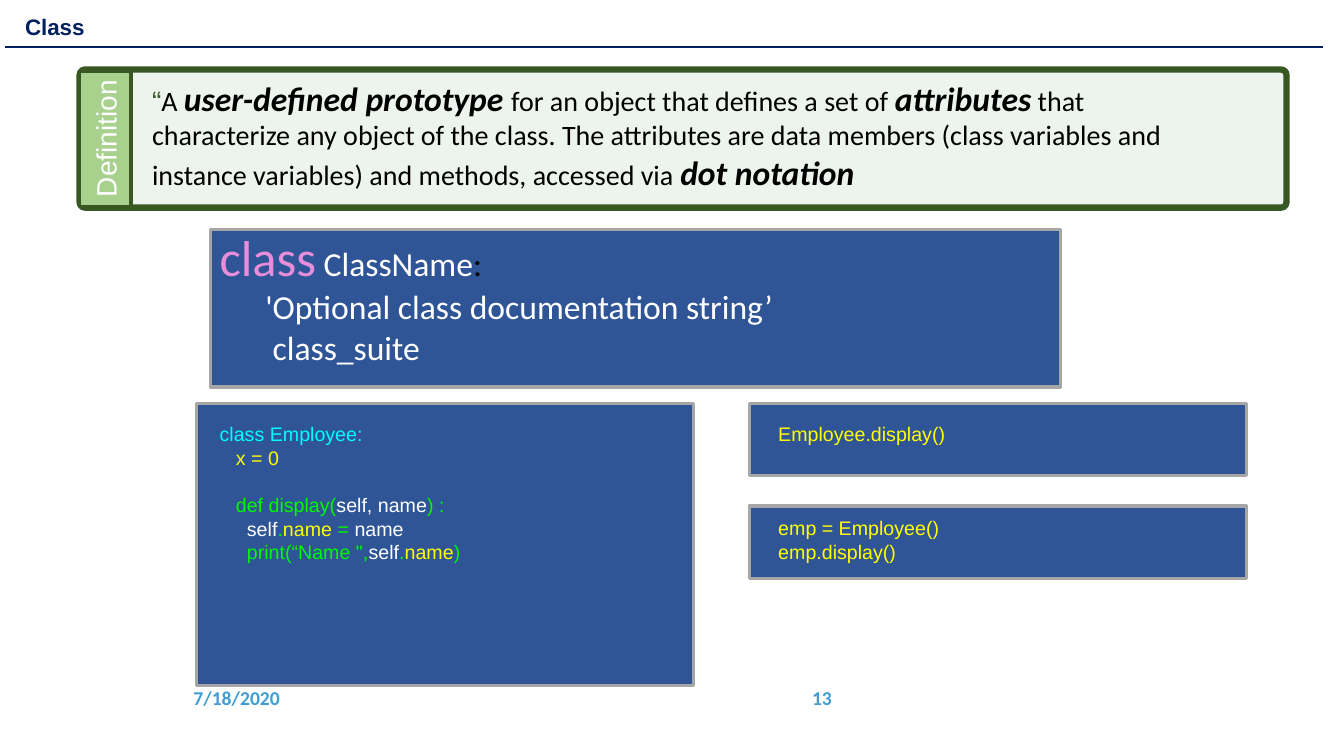
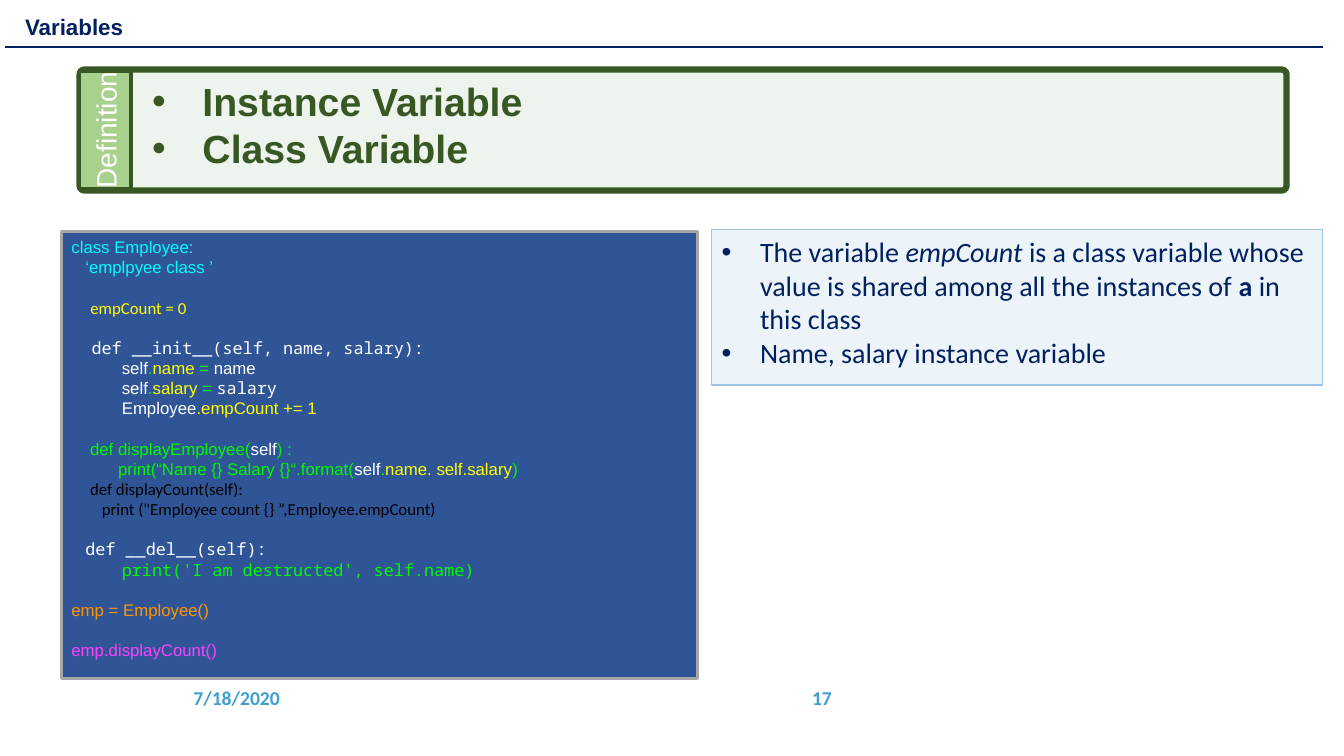
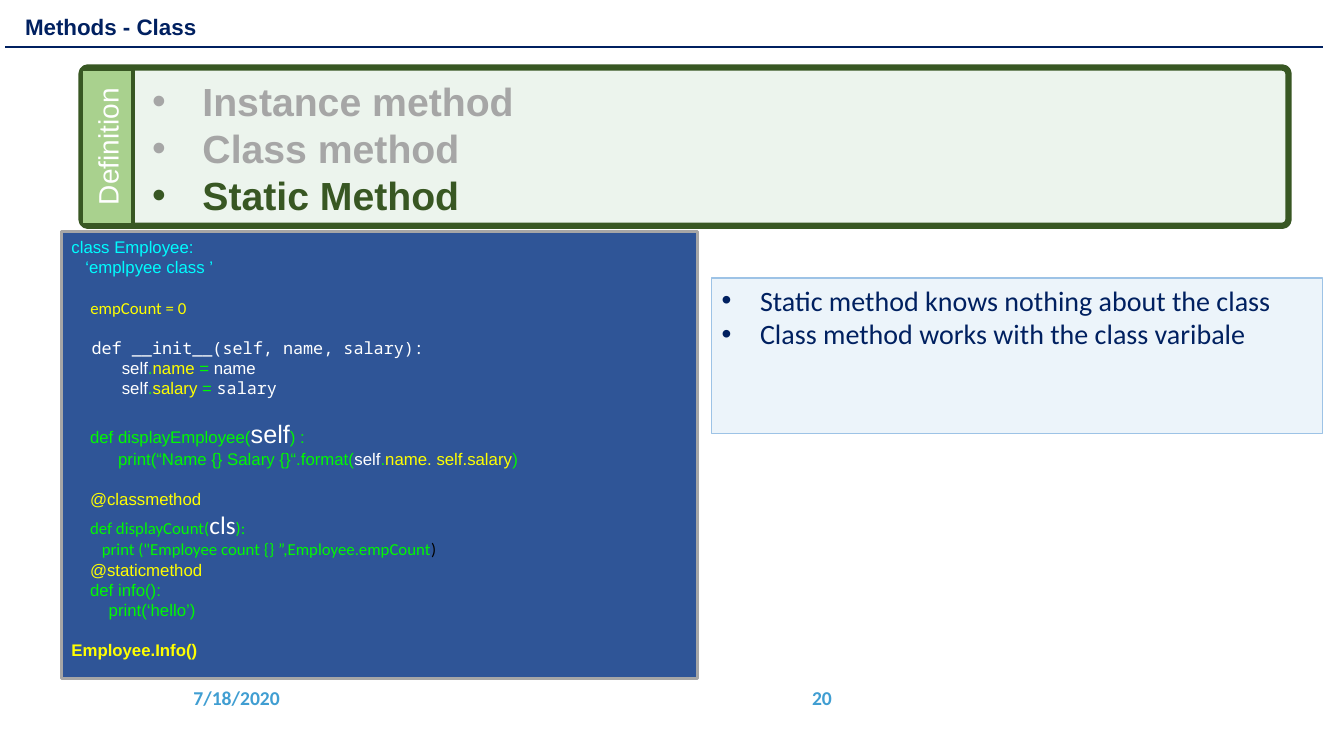
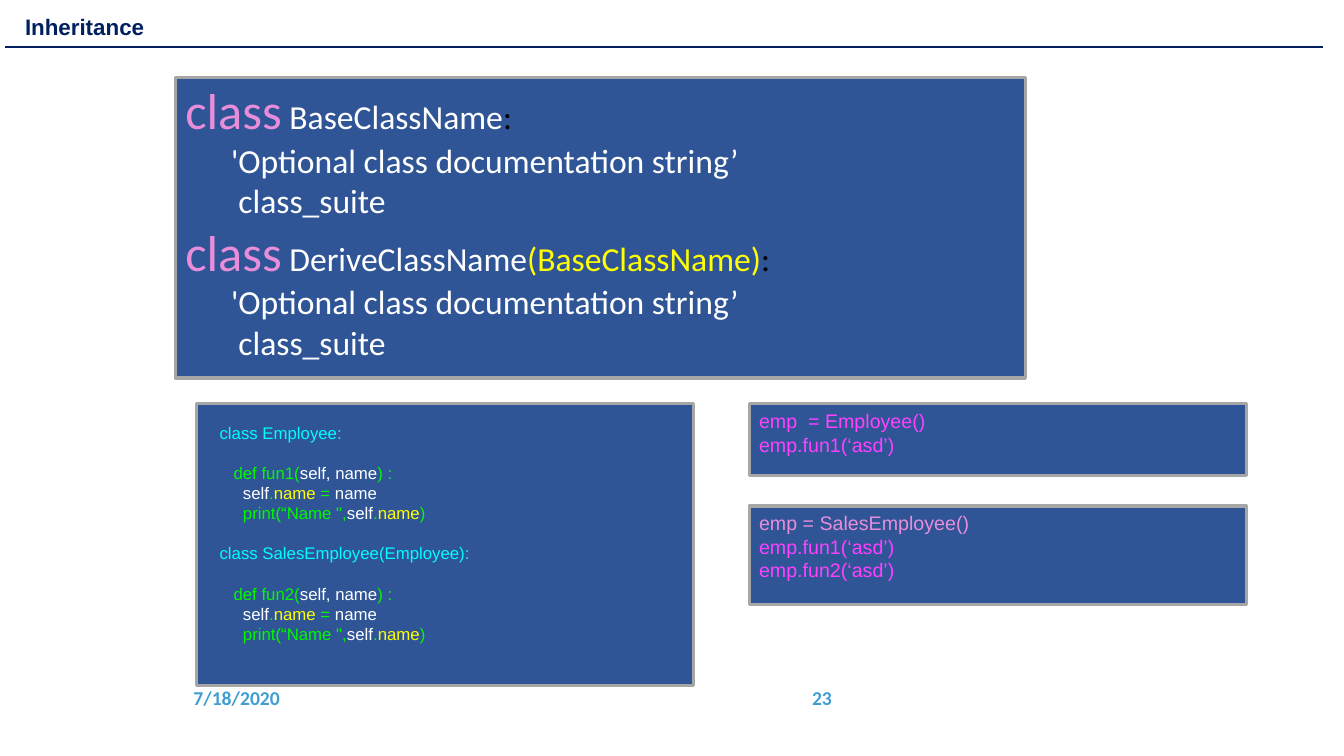
from collections import namedtuple

from lxml import etree
from pptx import Presentation
from pptx import util as u
from pptx.dml.color import RGBColor
from pptx.enum import shapes, text
from pptx.oxml.ns import qn

NAVY, GREEN, LIGHT_GREEN, PALE_GREEN = "002060", "385723", "A9D18E", "AACEB0"
PANEL, GREY, FOOTER = "2F5597", "A6A6A6", "409ED2"
NOTE, NOTE_EDGE = "ECF4FA", "9DC3E6"
WHITE, BLACK, YELLOW, LIME = "FFFFFF", "000000", "FFFF00", "00F900"
CYAN, PINK, MAGENTA, ORANGE = "00FDFF", "E78DDA", "FF40FF", "FF9300"
SANS, BODY, MONO = "Arial", "Calibri", "Noto Sans Mono"

# A run without font, size or colour takes the one of its text block.
Run = namedtuple("Run", "text colour font size bold italic",
                 defaults=(None, None, None, False, False))
# indent is in ems of the block's size, gap in lines left free above.
Line = namedtuple("Line", "runs indent gap", defaults=(0, 0))
Block = namedtuple("Block", "panel area lines size font", defaults=(12, SANS))


def line(wording, colour, indent=0, gap=0, font=None, bold=False):
    return Line([Run(wording, colour, font, bold=bold)], indent, gap)


def assignment(name, indent, value_font=None):
    return Line([Run("self", WHITE), Run(".", LIME), Run(name, YELLOW),
                 Run(" = ", LIME), Run(name, WHITE, value_font)], indent)


def naming_method(name):
    """Lines of a method that stores a name and prints it."""
    return [
        Line([Run(f"def {name}(", LIME), Run("self, name", WHITE), Run(") :", LIME)], 0.83, 1),
        assignment("name", 1.39),
        Line([Run("print(“Name \",", LIME), Run("self", WHITE), Run(".", LIME),
              Run("name", YELLOW), Run(")", LIME)], 1.39),
    ]


def class_syntax(name, base=""):
    heading = [Run("class", PINK, size=36), Run(" "), Run(name, WHITE)]
    if base:
        heading.append(Run(f"({base})", YELLOW))
    return [Line(heading + [Run(":", BLACK)]),
            line("'Optional class documentation string’", WHITE, 1.36),
            line("class_suite", WHITE, 1.58)]


def display_employee(self_size=None):
    return [
        Line([Run("def displayEmployee(", LIME), Run("self", WHITE, size=self_size),
              Run(") :", LIME)], 1.11, 1),
        Line([Run("print(“Name {} Salary {}“.format(", LIME), Run("self", WHITE),
              Run(".", LIME), Run("name. self.salary", YELLOW), Run(")", LIME)], 2.78),
    ]


EMPLOYEE_START = [
    line("class Employee:", CYAN),
    line("‘emplpyee class ’", CYAN, 0.83),
    line("empCount = 0", YELLOW, 1.13, 1, BODY),
    line("def __init__(self, name, salary):", WHITE, 1.2, 1, MONO),
    assignment("name", 3),
    assignment("salary", 3, MONO),
]
VARIABLES_CODE = EMPLOYEE_START + [
    Line([Run("Employee", WHITE), Run(".empCount += 1", YELLOW)], 3),
    *display_employee(),
    line("def displayCount(self):", BLACK, 1.11, font=BODY),
    line("print (\"Employee count {} ”,Employee.empCount)", BLACK, 1.81, font=BODY),
    line("def __del__(self):", WHITE, 0.83, 1, MONO),
    line("print('I am destructed', self.name)", "00FA00", 3, font=MONO),
    line("emp = Employee()", ORANGE, gap=1),
    line("emp.displayCount()", MAGENTA, gap=1),
]
METHODS_CODE = EMPLOYEE_START + [
    *display_employee(18),
    line("@classmethod", YELLOW, 1.11, 1),
    Line([Run("def displayCount(", LIME, BODY), Run("cls", WHITE, BODY, 18),
          Run("):", LIME, BODY)], 1.11),
    Line([Run("print (\"Employee count {} ”,Employee.empCount", LIME, BODY),
          Run(")", BLACK, BODY)], 1.81),
    line("@staticmethod", YELLOW, 1.11),
    line("def info():", LIME, 1.11),
    line("print(‘hello’)", LIME, 2.22),
    line("Employee.Info()", YELLOW, gap=1, bold=True),
]


def emphasis(wording):
    return Run(wording, size=24, bold=True, italic=True)


CLASS_DEFINITION = [Line([
    Run("“", GREEN, SANS), Run("A "), emphasis("user-defined prototype "),
    Run("for an object that defines a set of "), emphasis("attributes"),
    Run(" that characterize any object of the class. The attributes are data members "
        "(class variables and instance variables) and methods, accessed via "),
    emphasis("dot notation"),
])]

LARGE_CODE, LARGE_TEXT = (0.61, 2.3, 6.31, 4.43), (0.61, 2.3, 6.31, 4.34)
LEFT_CODE = (1.95, 4, 4.93, 2.8)
UPPER_CALL, LOWER_CALL = (7.43, 4, 4.93, 0.72), (7.43, 5.02, 4.93, 0.72)

# definition: frame left, top, height; text height; lines; bulleted
SLIDES = [
    dict(title="Class", number=13,
         definition=((0.79, 0.69, 1.37), 1.25, CLASS_DEFINITION, False),
         blocks=[
             Block((2.09, 2.28, 8.43, 1.56), (2.08, 2.19, 8.86, 1.51),
                   class_syntax("ClassName"), 24, BODY),
             Block(LEFT_CODE, (2.08, 4.14, 4.58, 1.99),
                   [line("class Employee:", CYAN), line("x = 0", "FFFB00", 0.83),
                    *naming_method("display")], 14),
             Block(UPPER_CALL, (7.62, 4.14, 4.58, 0.34),
                   [line("Employee.display()", YELLOW)], 14),
             Block(LOWER_CALL, (7.62, 5.07, 4.58, 0.57),
                   [line("emp = Employee()", YELLOW), line("emp.display()", YELLOW)], 14),
         ]),
    dict(title="Variables", number=17,
         definition=((0.79, 0.69, 1.2), 1.04,
                     [line("Instance Variable", GREEN, bold=True),
                      line("Class Variable", GREEN, bold=True)], True),
         blocks=[Block(LARGE_CODE, LARGE_TEXT, VARIABLES_CODE)],
         notes=(2.28, [
             Line([Run("The variable "), Run("empCount ", italic=True),
                   Run("is a class variable whose value is shared among all the instances of "),
                   Run("a ", bold=True), Run("in this class")]),
             line("Name, salary instance variable", NAVY)])),
    dict(title="Methods - Class", number=20,
         definition=((0.81, 0.67, 1.57), 1.51,
                     [line("Instance method", GREY, bold=True),
                      line("Class method", GREY, bold=True),
                      line("Static Method", GREEN, bold=True)], True),
         blocks=[Block(LARGE_CODE, LARGE_TEXT, METHODS_CODE)],
         notes=(2.76, [line("Static method knows nothing about the class", NAVY),
                       line("Class method works with the class varibale", NAVY)])),
    dict(title="Inheritance", number=23,
         blocks=[
             Block((1.74, 0.77, 8.43, 2.98), (1.74, 0.74, 7.61, 3.74),
                   class_syntax("BaseClassName")
                   + class_syntax("DeriveClassName", "BaseClassName"), 24, BODY),
             Block(LEFT_CODE, (2.08, 4.14, 4.58, 2.93),
                   [line("class Employee:", CYAN), *naming_method("fun1"),
                    line("class SalesEmployee(Employee):", CYAN, gap=1),
                    *naming_method("fun2")]),
             Block(UPPER_CALL, (7.43, 4.01, 4.58, 0.57),
                   [line("emp  = Employee()", MAGENTA), line("emp.fun1(‘asd’)", MAGENTA)], 14),
             Block((*LOWER_CALL[:3], 0.98), (7.43, 5.02, 4.58, 1.04),
                   [line("emp = SalesEmployee()", PINK), line("emp.fun1(‘asd’)", MAGENTA),
                    line("emp.fun2(‘asd’)", MAGENTA)], 14),
         ]),
]


def rgb(colour):
    return RGBColor.from_string(colour)


def inches(area):
    return [u.Inches(length) for length in area]


def add_box(parent, area, fill, edge=None, width=0, kind=shapes.MSO_SHAPE.RECTANGLE):
    box = parent.shapes.add_shape(kind, *inches(area))
    box.shadow.inherit = False
    box.fill.solid()
    box.fill.fore_color.rgb = rgb(fill)
    if edge:
        box.line.color.rgb = rgb(edge)
        box.line.width = u.Pt(width)
    else:
        box.line.fill.background()
    return box


def add_bullet(paragraph, hang):
    properties = paragraph._p.get_or_add_pPr()
    properties.set("marL", str(u.Inches(hang)))
    properties.set("indent", str(u.Inches(-hang)))
    etree.SubElement(properties, qn("a:buFont")).set("typeface", SANS)
    etree.SubElement(properties, qn("a:buChar")).set("char", "•")


def write(frame, lines, size, font, colour=BLACK, hang=0,
          align=text.PP_ALIGN.LEFT, anchor=text.MSO_ANCHOR.TOP):
    """Fill a text frame; a hang in inches makes its lines bullets."""
    frame.word_wrap = True
    frame.vertical_anchor = anchor
    for index, item in enumerate(lines):
        paragraph = frame.add_paragraph() if index else frame.paragraphs[0]
        paragraph.alignment = align
        if item.gap:
            paragraph.space_before = u.Pt(1.2 * size * item.gap)
        if item.indent:
            paragraph._p.get_or_add_pPr().set("marL", str(u.Pt(item.indent * size)))
        if hang:
            add_bullet(paragraph, hang)
        for part in item.runs:
            run = paragraph.add_run()
            run.text = part.text
            run.font.name = part.font or font
            run.font.size = u.Pt(part.size or size)
            run.font.color.rgb = rgb(part.colour or colour)
            run.font.bold = part.bold
            run.font.italic = part.italic


def add_text(slide, area, *content, grow=True, **style):
    frame = slide.shapes.add_textbox(*inches(area)).text_frame
    write(frame, *content, **style)
    if grow:
        frame.auto_size = text.MSO_AUTO_SIZE.SHAPE_TO_FIT_TEXT


def add_title_and_footer(slide, title, number):
    for area, wording, align in (
            ((1.82, 6.72, 1.38, 0.4), "7/18/2020", text.PP_ALIGN.LEFT),
            ((5.32, 6.72, 3.03, 0.4), str(number), text.PP_ALIGN.RIGHT)):
        add_text(slide, area, [line(wording, FOOTER, bold=True)], 14, BODY, grow=False,
                 align=align, anchor=text.MSO_ANCHOR.MIDDLE)

    heading = add_box(slide, (0.15, 0.1, 9.04, 0.35), WHITE).text_frame
    write(heading, [line(title, NAVY, bold=True)], 16, SANS, anchor=text.MSO_ANCHOR.BOTTOM)
    heading.paragraphs[0].line_spacing = 0.9

    rule = slide.shapes.add_connector(shapes.MSO_CONNECTOR.STRAIGHT,
                                      *inches((0.05, 0.47, 13.12, 0.47)))
    rule.line.color.rgb = rgb(NAVY)
    rule.line.width = u.Pt(1.5)
    etree.SubElement(rule._element.spPr, qn("a:effectLst"))


def add_definition(slide, place, text_height, lines, bulleted):
    left, top, height = place
    group = slide.shapes.add_group_shape()
    frame = add_box(group, (left, top, 11.97, height), PALE_GREEN, GREEN, 4.5,
                    shapes.MSO_SHAPE.ROUNDED_RECTANGLE)
    frame.adjustments[0] = 0.039
    tint = frame._element.spPr.find(qn("a:solidFill"))[0]
    etree.SubElement(tint, qn("a:alpha")).set("val", "22000")

    # The tab is laid out flat, then turned about its centre.
    length, depth = height - 0.03, 0.51
    tab = add_box(group, (left + (depth - length) / 2, top + (height - depth) / 2,
                          length, depth), LIGHT_GREEN, GREEN, 2.25)
    tab.rotation = 270
    write(tab.text_frame, [line("Definition", WHITE)], 20, SANS,
          align=text.PP_ALIGN.CENTER, anchor=text.MSO_ANCHOR.MIDDLE)
    tab.text_frame.word_wrap = False

    size, font, hang = (28, SANS, 0.5) if bulleted else (20, BODY, 0)
    add_text(slide, (1.41, 0.72, 10.78, text_height), lines, size, font, hang=hang)


def add_notes_box(slide, top, lines):
    box = add_box(slide, (7.06, top, 6.06, 1.54), NOTE, NOTE_EDGE, 1)
    write(box.text_frame, lines, 20, BODY, NAVY, hang=0.38)


def main():
    deck = Presentation()
    deck.slide_width, deck.slide_height = inches((13.33, 7.5))
    for content in SLIDES:
        slide = deck.slides.add_slide(deck.slide_layouts[6])
        add_title_and_footer(slide, content["title"], content["number"])
        for block in content["blocks"]:
            add_box(slide, block.panel, PANEL, GREY, 2.25)
            add_text(slide, block.area, block.lines, block.size, block.font)
        if "definition" in content:
            add_definition(slide, *content["definition"])
        if "notes" in content:
            add_notes_box(slide, *content["notes"])
    deck.save("out.pptx")


if __name__ == "__main__":
    main()
